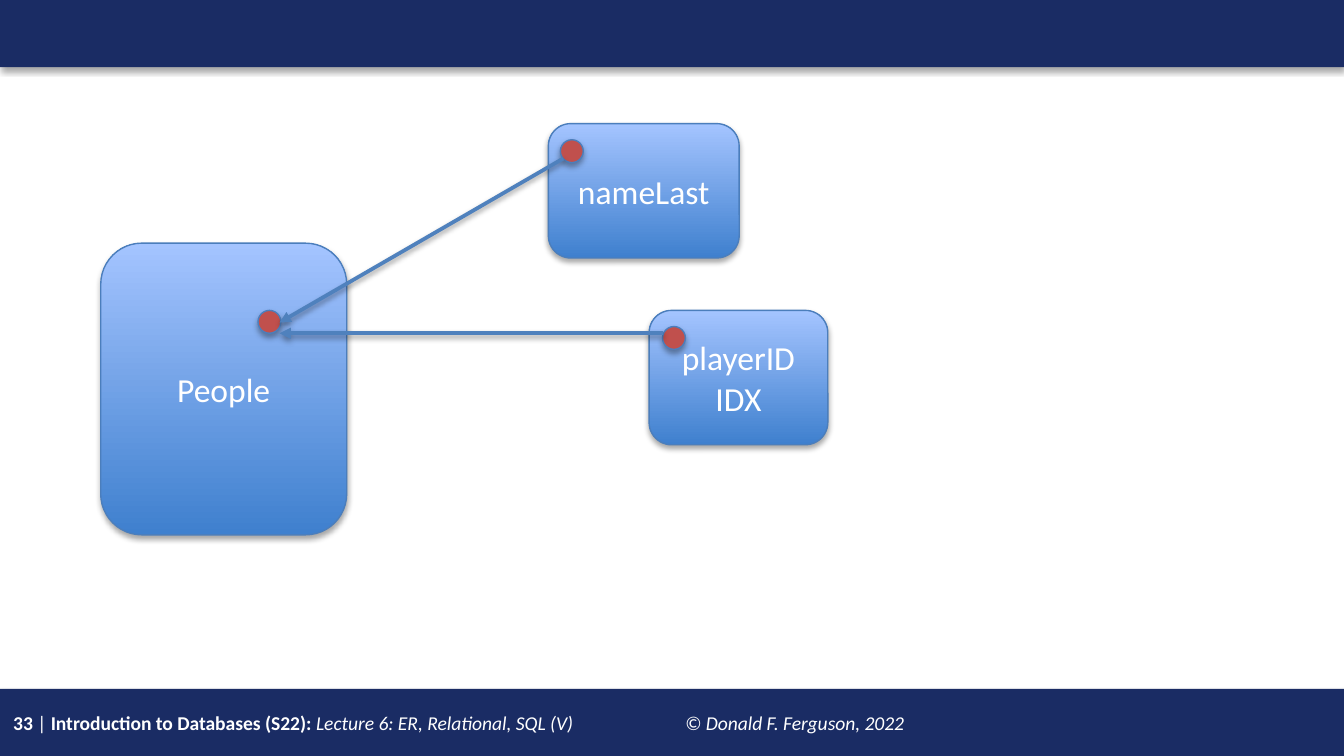
from lxml import etree
from pptx import Presentation
from pptx.dml.color import RGBColor
from pptx.enum.shapes import MSO_CONNECTOR, MSO_SHAPE
from pptx.enum.text import MSO_ANCHOR, MSO_AUTO_SIZE, PP_ALIGN
from pptx.oxml.ns import qn
from pptx.util import Inches, Pt

RECTANGLE = MSO_SHAPE.RECTANGLE
ROUNDED = MSO_SHAPE.ROUNDED_RECTANGLE
OVAL = MSO_SHAPE.OVAL
STRAIGHT = MSO_CONNECTOR.STRAIGHT
CENTER = PP_ALIGN.CENTER
MIDDLE = MSO_ANCHOR.MIDDLE
FIT_TEXT = MSO_AUTO_SIZE.SHAPE_TO_FIT_TEXT

COLORS = {
    "band": "1A2C64",
    "box_bottom": "3F80CE",
    "box_top": "A4C4FF",
    "outline": "4B7EBC",
    "dot": "C0504D",
    "arrow": "4F81BD",
    "text": "FFFFFF",
    "shadow": "000000",
}
FONT = "Calibri"
WIDTH = 10
HEIGHT = WIDTH * 9 / 16
BAND_HEIGHT = 0.5
DOT_SIZE = 0.17


def color(name):
    return RGBColor.from_string(COLORS[name])


def set_font(font, size):
    font.name = FONT
    font.size = Pt(size)
    font.color.rgb = color("text")


def add_shadow(element, distance=1.8, opacity=35):
    """Give a shape or connector a soft shadow straight below it."""
    properties = element._element.spPr
    effects = properties.find(qn("a:effectLst"))
    if effects is None:
        effects = etree.SubElement(properties, qn("a:effectLst"))
    shadow = etree.SubElement(
        effects, qn("a:outerShdw"), blurRad=str(Pt(3.1)), dist=str(Pt(distance)),
        dir="5400000", rotWithShape="0")
    shade = etree.SubElement(shadow, qn("a:srgbClr"), val=COLORS["shadow"])
    etree.SubElement(shade, qn("a:alpha"), val=str(opacity * 1000))


def add_shape(slide, kind, left, top, width, height):
    shape = slide.shapes.add_shape(
        kind, Inches(left), Inches(top), Inches(width), Inches(height))
    shape.shadow.inherit = False
    add_shadow(shape)
    return shape


def set_outline(shape):
    shape.line.color.rgb = color("outline")
    shape.line.width = Pt(0.75)


def add_band(slide, top):
    band = add_shape(slide, RECTANGLE, 0, top, WIDTH, BAND_HEIGHT)
    band.fill.solid()
    band.fill.fore_color.rgb = color("band")
    band.line.fill.background()


def add_box(slide, label, left, top, width, height):
    box = add_shape(slide, ROUNDED, left, top, width, height)
    box.fill.gradient()
    box.fill.gradient_angle = 90
    for stop, name in zip(box.fill.gradient_stops, ("box_bottom", "box_top")):
        stop.color.rgb = color(name)
    set_outline(box)
    frame = box.text_frame
    frame.text = label
    frame.vertical_anchor = MIDDLE
    paragraph = frame.paragraphs[0]
    paragraph.alignment = CENTER
    set_font(paragraph.font, 18)


def add_dot(slide, left, top):
    dot = add_shape(slide, OVAL, left, top, DOT_SIZE, DOT_SIZE)
    dot.fill.solid()
    dot.fill.fore_color.rgb = color("dot")
    set_outline(dot)


def add_arrow(slide, start, end):
    arrow = slide.shapes.add_connector(
        STRAIGHT, *(Inches(value) for value in (*start, *end)))
    arrow.line.color.rgb = color("arrow")
    arrow.line.width = Pt(2)
    line = arrow._element.spPr.find(qn("a:ln"))
    etree.SubElement(line, qn("a:tailEnd"), type="triangle")
    add_shadow(arrow, distance=1.6, opacity=38)


def add_footer(slide):
    box = slide.shapes.add_textbox(
        Inches(0), Inches(5.24), Inches(7.42), Inches(0.28))
    frame = box.text_frame
    frame.word_wrap = True
    frame.auto_size = FIT_TEXT
    paragraph = frame.paragraphs[0]
    tabs = etree.SubElement(paragraph._p.get_or_add_pPr(), qn("a:tabLst"))
    for position in (4.5, 5):
        etree.SubElement(tabs, qn("a:tab"), pos=str(Inches(position)), algn="l")
    for text, bold, italic in (
        ("33 ", True, False),
        ("|", False, False),
        (" Introduction to Databases (S22): ", True, False),
        ("Lecture 6: ER, Relational, SQL (V)\t\t© Donald F. Ferguson, 2022",
         False, True),
    ):
        run = paragraph.add_run()
        run.text = text
        set_font(run.font, 10.5)
        run.font.bold = bold
        run.font.italic = italic


def main():
    presentation = Presentation()
    presentation.slide_width = Inches(WIDTH)
    presentation.slide_height = Inches(HEIGHT)
    slide = presentation.slides.add_slide(presentation.slide_layouts[6])

    add_band(slide, HEIGHT - BAND_HEIGHT)
    add_footer(slide)
    add_band(slide, 0)

    add_box(slide, "People", 0.75, 1.81, 1.83, 2.17)
    add_box(slide, "playerID\vIDX", 4.83, 2.31, 1.33, 1)
    add_box(slide, "nameLast", 4.08, 0.92, 1.42, 1)

    add_dot(slide, 4.17, 1.04)
    add_dot(slide, 1.92, 2.31)
    add_arrow(slide, (4.19, 1.18), (2.08, 2.4))
    add_dot(slide, 4.93, 2.43)
    add_arrow(slide, (4.93, 2.48), (2.08, 2.48))

    presentation.save("out.pptx")


if __name__ == "__main__":
    main()
